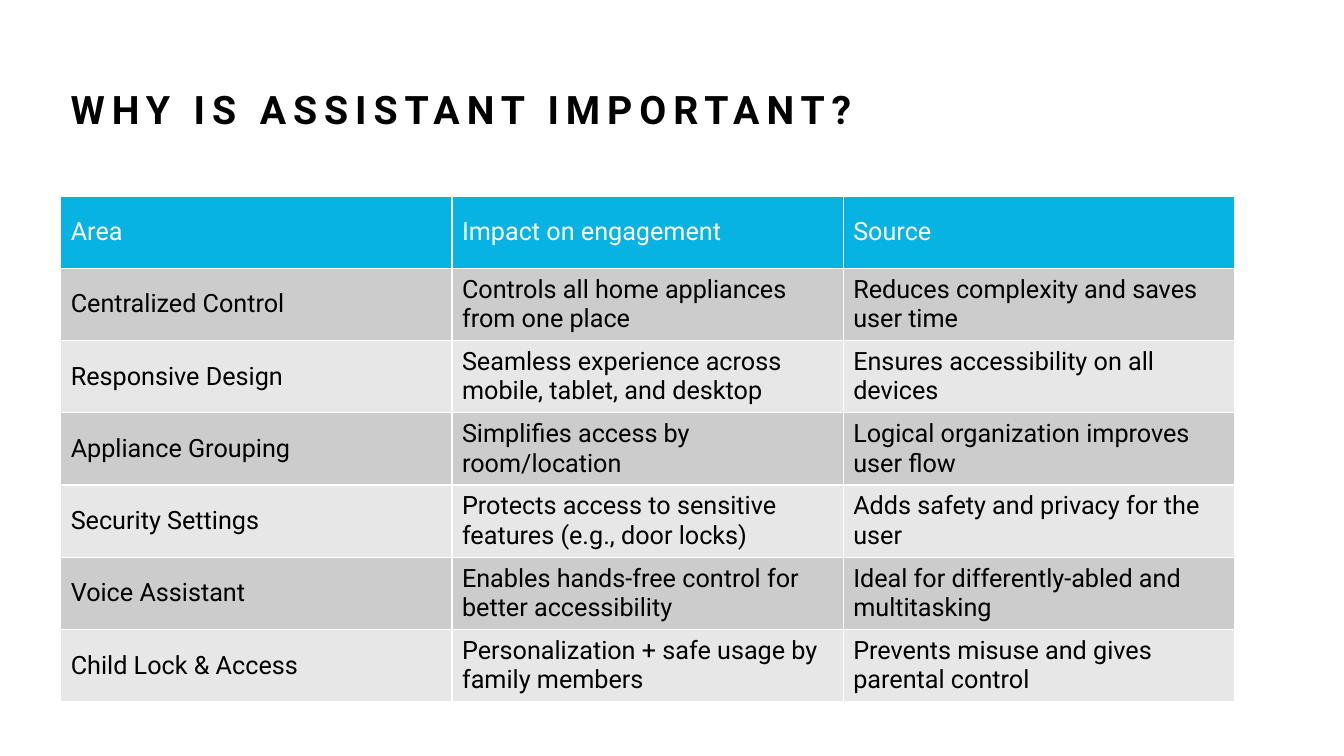
from lxml.etree import SubElement as Sub
from pptx import Presentation
from pptx.dml.color import RGBColor as Rgb
from pptx.enum.text import MSO_ANCHOR as Anchor
from pptx.oxml import parse_xml
from pptx.oxml.ns import qn
from pptx.util import Cm, Pt

COLORS = {
    "white": "FFFFFF",
    "black": "000000",
    "blue": "07B3E3",
    "dark": "CCCCCC",
    "light": "E7E7E7",
}
NS = "http://schemas.openxmlformats.org/drawingml/2006/main"

ROWS = [
    ("Area", "Impact on engagement", "Source"),
    ("Centralized Control", "Controls all home appliances from one place",
     "Reduces complexity and saves user time"),
    ("Responsive Design",
     "Seamless experience across mobile, tablet, and desktop",
     "Ensures accessibility on all devices"),
    ("Appliance Grouping", "Simplifies access by room/location",
     "Logical organization improves user flow"),
    ("Security Settings",
     "Protects access to sensitive features (e.g., door locks)",
     "Adds safety and privacy for the user"),
    ("Voice Assistant", "Enables hands-free control for better accessibility",
     "Ideal for differently-abled and multitasking"),
    ("Child Lock & Access", "Personalization + safe usage by family members",
     "Prevents misuse and gives parental control"),
]


class Deck:
    font = "Roboto"

    def __init__(self, width, height):
        self.prs = Presentation()
        self.prs.slide_width, self.prs.slide_height = Cm(width), Cm(height)
        self.slide = self.prs.slides.add_slide(self.prs.slide_layouts[6])

    def color(self, name):
        return Rgb.from_string(COLORS[name])

    def run(self, para, text, size, color, bold=False):
        run = para.add_run()
        run.text = text
        font = run.font
        font.name, font.size, font.bold = self.font, Pt(size), bold
        font.color.rgb = self.color(color)
        return run

    def title(self, text, left, top, width, height):
        box = self.slide.shapes.add_textbox(
            Cm(left), Cm(top), Cm(width), Cm(height))
        frame = box.text_frame
        frame.word_wrap = True
        frame.vertical_anchor = Anchor.MIDDLE
        para = frame.paragraphs[0]
        para.line_spacing = 1.2
        run = self.run(para, text, 28, "black", bold=True)
        run.font._element.set("spc", "500")

    def edges(self, cell):
        """Draw a thin white line on all four sides of the cell."""
        props = cell._tc.get_or_add_tcPr()
        for spot, side in enumerate("LRTB"):
            line = parse_xml(f'<a:ln{side} xmlns:a="{NS}" w="{Pt(1)}"/>')
            fill = Sub(line, qn("a:solidFill"))
            Sub(fill, qn("a:srgbClr"), val=COLORS["white"])
            props.insert(spot, line)

    def cell(self, cell, text, color, fill):
        cell.vertical_anchor = Anchor.MIDDLE
        cell.fill.solid()
        cell.fill.fore_color.rgb = self.color(fill)
        self.edges(cell)
        self.run(cell.text_frame.paragraphs[0], text, 18, color)

    def table(self, rows, left, top, wide, high):
        """Add a table with columns of one width and rows of one height."""
        count = len(rows[0])
        table = self.slide.shapes.add_table(
            len(rows), count, Cm(left), Cm(top),
            Cm(wide * count), Cm(high * len(rows))).table
        for col in table.columns:
            col.width = Cm(wide)
        for r, texts in enumerate(rows):
            table.rows[r].height = Cm(high)
            color = "black" if r else "white"
            fill = ("light", "dark")[r % 2] if r else "blue"
            for c, text in enumerate(texts):
                self.cell(table.cell(r, c), text, color, fill)

    def save(self):
        self.prs.save("out.pptx")


def main():
    deck = Deck(33.87, 19.05)
    deck.title("WHY IS ASSISTANT IMPORTANT?", 1.53, 1.12, 29.54, 3.02)
    deck.table(ROWS, 1.53, 4.94, 9.86, 1.82)
    deck.save()


if __name__ == "__main__":
    main()
